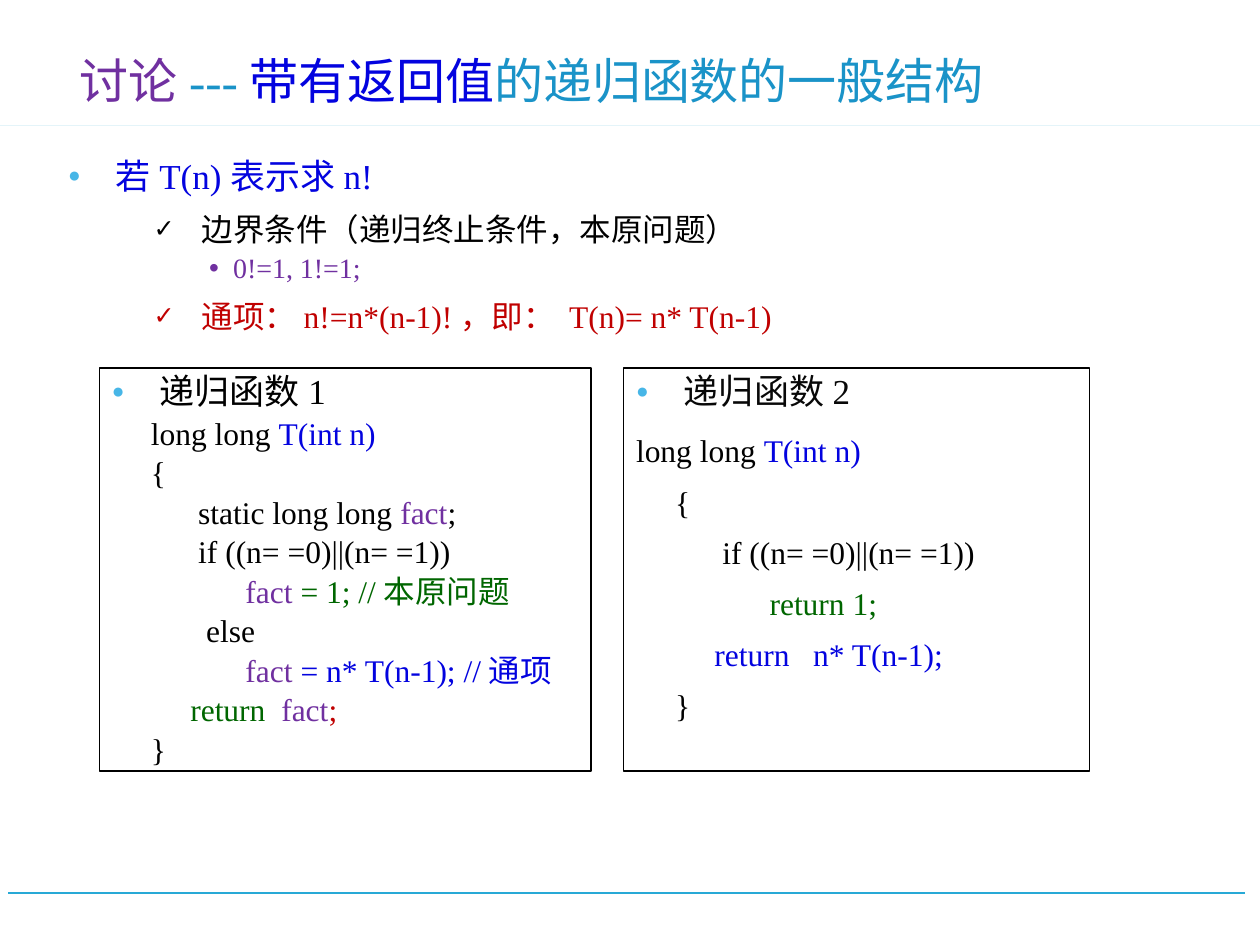
from lxml.etree import SubElement as Sub
from pptx import Presentation
from pptx.dml.color import RGBColor as Rgb
from pptx.enum.shapes import MSO_CONNECTOR as Conn, MSO_SHAPE as Form
from pptx.enum.text import MSO_ANCHOR as Anchor, MSO_AUTO_SIZE as Auto, PP_ALIGN as Align
from pptx.oxml.ns import qn
from pptx.util import Inches, Pt

HUES = dict(sky="28A9D6", dot="47B6E7", teal="1A93C8", violet="7030A0", blue="0303DF",
            red="C00000", green="006600", black="000000", ink="080808")
FONT = "Times New Roman"
WIDE, HIGH = 10, 7.5
SPACE = 1 / 16

STYLES = {
    "title": dict(size=28, line=0.9),
    "head": dict(size=20, left=0.38, hang=0.38, line=0.9, before=13.5, mark="●", scale=60, tint="dot"),
    "check": dict(size=18, level=1, left=1.06, hang=0.38, line=1.3, before=1, mark="✓", scale=80),
    "point": dict(size=16, level=2, left=1.31, hang=0.19, line=0.9, before=3.8, mark="•", scale=100),
    "first": dict(size=18, line=0.9, before=13.5),
    "tight": dict(size=18, level=1, left=0.31, line=1, before=1),
    "loose": dict(size=18, level=1, left=0.31, line=1.3, before=1),
}

TITLE = [("title", 0, [("讨论", "violet"), ("---", "teal"), ("带有返回值", "blue"),
                       ("的递归函数的一般结构", "teal")])]
BODY = [
    ("head", 0, [("若T(n)表示求n!", "blue")]),
    ("check", 0, [("边界条件（递归终止条件，本原问题）", "black")]),
    ("point", 0, [("0!=1, 1!=1;", "violet")]),
    ("check", 0, [("通项：n!=n*(n-1)!，即： T(n)= n* T(n-1)", "red")]),
]
SIGN = [("long long ", "black"), ("T(int n)", "blue")]
OPEN, CLOSE = [("{", "black")], [("}", "black")]
TEST = [("if ((n= =0)||(n= =1))", "black")]
CODE_1 = [
    ("head", 0, [("递归函数1", "black")]),
    ("tight", 0, SIGN),
    ("tight", 0, OPEN),
    ("tight", 6, [("static long long ", "black"), ("fact", "violet"), (";", "black")]),
    ("tight", 6, TEST),
    ("tight", 12, [("fact", "violet"), (" = 1; //本原问题", "green")]),
    ("tight", 7, [("else", "black")]),
    ("tight", 12, [("fact", "violet"), (" = n* T(n-1); //通项", "blue")]),
    ("tight", 5, [("return  ", "green"), ("fact", "violet"), (";", "red")]),
    ("tight", 0, CLOSE),
]
CODE_2 = [
    ("head", 0, [("递归函数2", "ink")]),
    ("first", 0, SIGN),
    ("loose", 0, OPEN),
    ("loose", 6, TEST),
    ("loose", 12, [("return 1;", "green")]),
    ("loose", 5, [("return   n* T(n-1);", "blue")]),
    ("loose", 0, CLOSE),
]
BOXES = [(0.79, 3.9, CODE_1), (4.95, 3.7, CODE_2)]
BOX_TOP, BOX_HIGH = 2.92, 3.2
BARS = [(0.41, 0.46), (0.41, 0.92), (1.4, 0.92), (WIDE, 0.94), (0.39, 0.94), (0.39, 0.48),
        (0.36, 0.48), (0.36, 0.94), (0.27, 0.94), (0.27, 0.46), (0.3, 0.46), (0.3, 0.91),
        (0.33, 0.91), (0.33, 0.46)]


def hue(name):
    return Rgb.from_string(HUES[name])


def bullet(props, form):
    if "mark" not in form:
        Sub(props, qn("a:buNone"))
        return
    if "tint" in form:
        Sub(Sub(props, qn("a:buClr")), qn("a:srgbClr"), val=HUES[form["tint"]])
    Sub(props, qn("a:buSzPct"), val=str(form["scale"] * 1000))
    Sub(props, qn("a:buFont"), typeface="Arial")
    Sub(props, qn("a:buChar"), char=form["mark"])


def write(shape, rows, anchor=Anchor.TOP):
    frame = shape.text_frame
    for key, val in dict(word_wrap=True, auto_size=Auto.NONE, vertical_anchor=anchor).items():
        setattr(frame, key, val)
    for i, (kind, step, runs) in enumerate(rows):
        form = STYLES[kind]
        para = frame.add_paragraph() if i else frame.paragraphs[0]
        look = dict(alignment=Align.LEFT, level=form.get("level", 0), line_spacing=form["line"],
                    space_before=Pt(form.get("before", 0)), space_after=Pt(0))
        for key, val in look.items():
            setattr(para, key, val)
        props = para._p.get_or_add_pPr()
        props.set("marL", str(Inches(form.get("left", 0) + step * SPACE)))
        props.set("indent", str(-Inches(form.get("hang", 0))))
        bullet(props, form)
        for text, tone in runs:
            run = para.add_run()
            run.text = text
            for key, val in dict(name=FONT, size=Pt(form["size"]), bold=False).items():
                setattr(run.font, key, val)
            run.font.color.rgb = hue(tone)


def place(shape, *spot):
    for key, val in zip(("left", "top", "width", "height"), spot):
        setattr(shape, key, Inches(val))


def main():
    deck = Presentation()
    deck.slide_width, deck.slide_height = Inches(WIDE), Inches(HIGH)
    slide = deck.slides.add_slide(deck.slide_layouts[1])
    shapes = slide.shapes

    rule = shapes.add_connector(Conn.STRAIGHT, *map(Inches, (9.88, 7.09, 0.06, 7.09)))
    rule.line.color.rgb = hue("sky")
    rule.line.width = Pt(1.25)
    Sub(rule._element.spPr, qn("a:effectLst"))

    pen = shapes.build_freeform(*BARS[0], scale=Inches(1))
    pen.add_line_segments(BARS[1:], close=True)
    bars = pen.convert_to_shape()
    bars.shadow.inherit = False
    bars.fill.solid()
    bars.fill.fore_color.rgb = hue("sky")
    bars.line.fill.background()

    title, body = shapes.title, slide.placeholders[1]
    place(title, 0.53, 0.28, 8.85, 0.64)
    write(title, TITLE, Anchor.BOTTOM)
    place(body, 0.44, 1.21, 8.65, 1.52)
    write(body, BODY)

    for left, wide, rows in BOXES:
        box = shapes.add_shape(Form.RECTANGLE, *map(Inches, (left, BOX_TOP, wide, BOX_HIGH)))
        box.shadow.inherit = False
        box.fill.background()
        box.line.color.rgb = hue("black")
        box.line.width = Pt(0.75)
        write(box, rows)

    deck.save("out.pptx")


if __name__ == "__main__":
    main()
